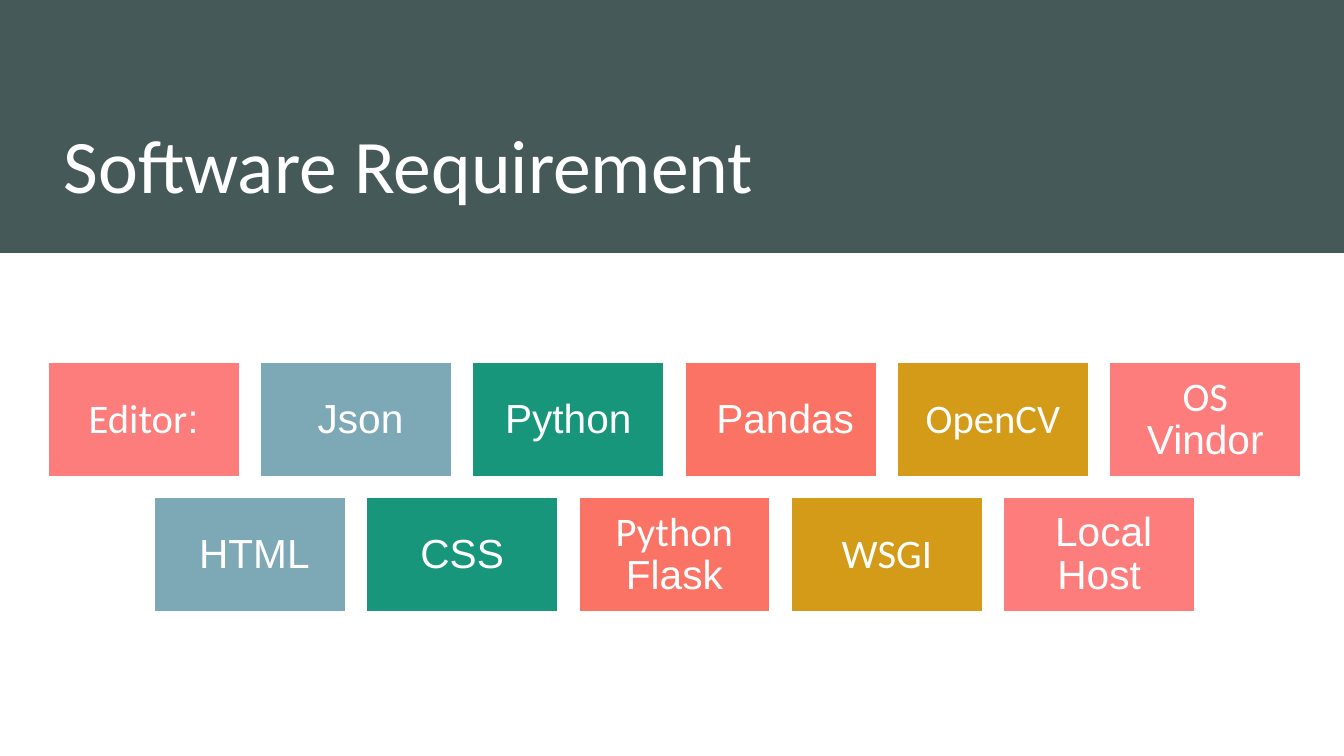
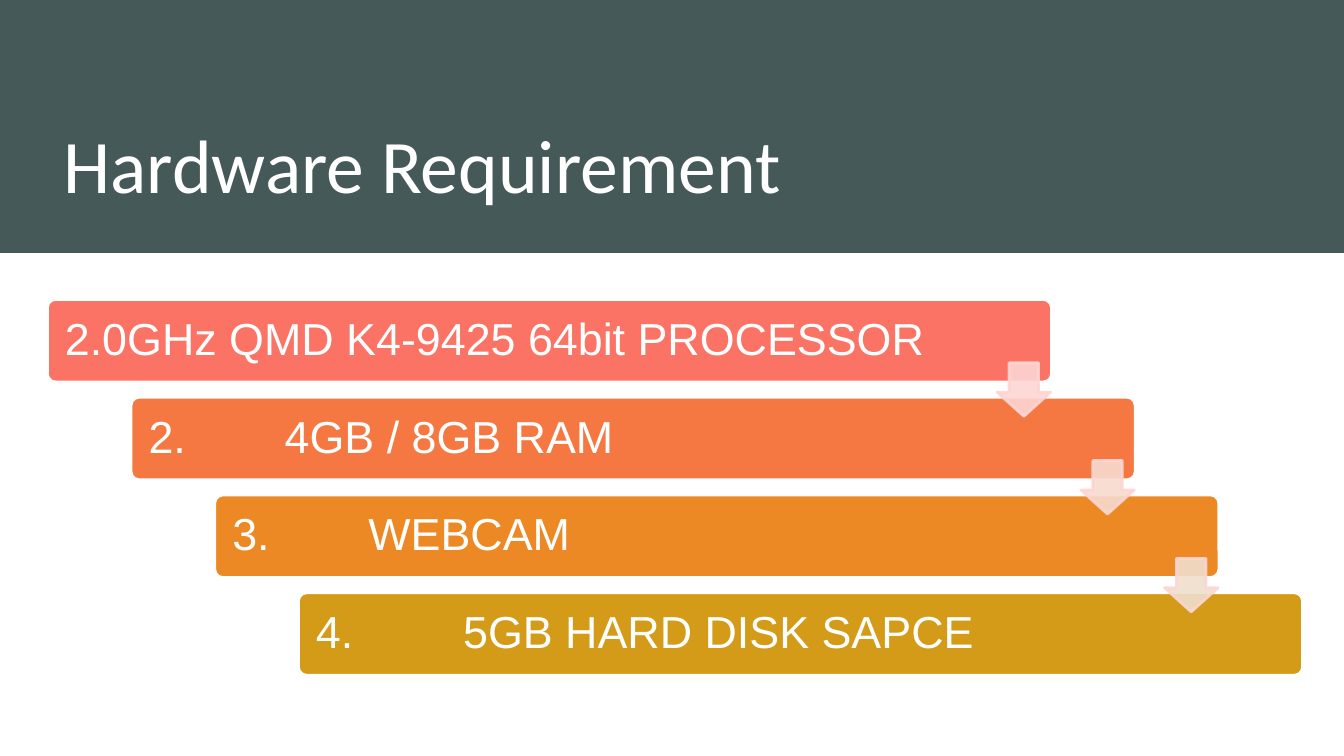
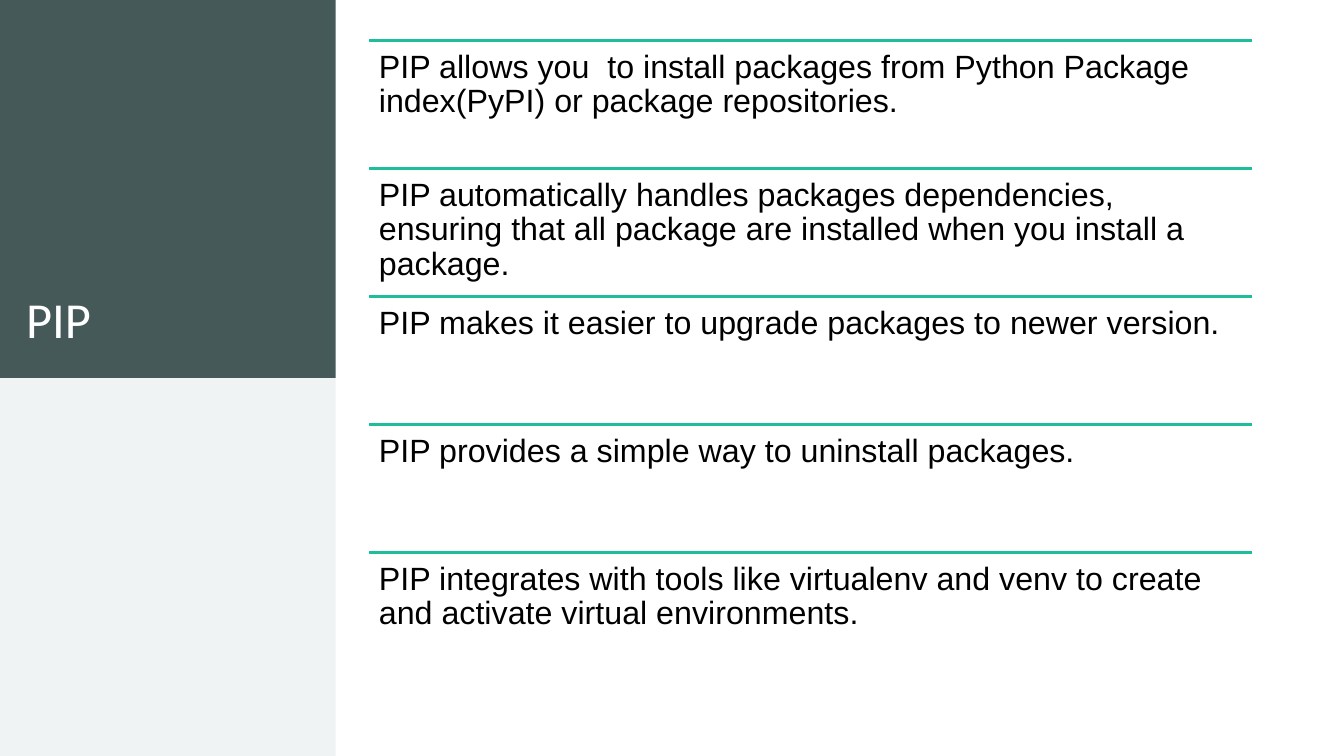
from dataclasses import dataclass
from itertools import cycle

from lxml.etree import SubElement
from pptx import Presentation
from pptx.dml.color import RGBColor
from pptx.enum.shapes import MSO_CONNECTOR, MSO_SHAPE
from pptx.enum.text import MSO_ANCHOR, MSO_AUTO_SIZE, PP_ALIGN
from pptx.oxml.ns import qn
from pptx.util import Inches, Pt

WHITE = RGBColor(0xFF, 0xFF, 0xFF)
BLACK = RGBColor(0x00, 0x00, 0x00)
SLATE = RGBColor(0x46, 0x59, 0x59)
MIST = RGBColor(0xF0, 0xF3, 0xF3)
PINK = RGBColor(0xFD, 0x7C, 0x7C)
BLUE = RGBColor(0x7D, 0xA8, 0xB5)
GREEN = RGBColor(0x17, 0x96, 0x7B)
CORAL = RGBColor(0xFB, 0x73, 0x65)
ORANGE = RGBColor(0xF5, 0x78, 0x43)
AMBER = RGBColor(0xED, 0x89, 0x24)
GOLD = RGBColor(0xD3, 0x9B, 0x17)
TEAL = RGBColor(0x1E, 0xBE, 0x9B)
BLUSH = RGBColor(0xFD, 0xD5, 0xD3)
PEACH = RGBColor(0xF7, 0xDA, 0xCE)
CREAM = RGBColor(0xEF, 0xDE, 0xCC)

HEADING_FONT = "Calibri"
BODY_FONT = "Arial"
SLIDE_WIDTH, SLIDE_HEIGHT = 13.33, 7.5
TITLE_ONLY = 5


@dataclass(frozen=True)
class Frame:
    left: float
    top: float
    width: float
    height: float

    def lengths(self):
        return [Inches(side) for side in (self.left, self.top, self.width, self.height)]


@dataclass(frozen=True)
class Span:
    text: str
    font: str = BODY_FONT


@dataclass(frozen=True)
class Tile:
    spans: tuple[Span, ...]
    indent: float = 0


@dataclass(frozen=True)
class Bar:
    text: str
    color: RGBColor
    tab: float = 1.35


WIDE_BAND = Frame(0, 0, SLIDE_WIDTH, 2.51)
WIDE_TITLE = Frame(0.53, 0.4, 11.89, 1.72)
SIDE_BAND = Frame(0, 0, 3.33, 3.75)
SIDE_TITLE = Frame(0.16, 0.4, 2.89, 3.11)

NUDGE = 0.09
TILE_ROWS = (
    (
        Tile((Span("Editor", HEADING_FONT), Span(":"))),
        Tile((Span("Json"),), NUDGE),
        Tile((Span("Python"),)),
        Tile((Span("Pandas"),), NUDGE),
        Tile((Span("OpenCV", HEADING_FONT),)),
        Tile((Span("OS", HEADING_FONT), Span(" Vindor"))),
    ),
    (
        Tile((Span("HTML"),), NUDGE),
        Tile((Span("CSS"),)),
        Tile((Span("Python", HEADING_FONT), Span(" Flask"))),
        Tile((Span("WSGI", HEADING_FONT),)),
        Tile((Span("Local Host"),), NUDGE),
    ),
)
TILE_COLORS = (PINK, BLUE, GREEN, CORAL, GOLD)

BARS = (
    Bar("2.0GHz QMD K4-9425 64bit PROCESSOR", CORAL),
    Bar("2.\t4GB / 8GB RAM", ORANGE),
    Bar("3.\tWEBCAM", AMBER),
    Bar("4.\t5GB HARD DISK SAPCE", GOLD, 1.46),
)
ARROW_COLORS = (BLUSH, PEACH, CREAM)

PIP_POINTS = (
    "PIP allows you  to install packages from Python Package index(PyPI) or package repositories.",
    "PIP automatically handles packages dependencies, ensuring that all package are installed "
    "when you install a package.",
    "PIP makes it easier to upgrade packages to newer version.",
    "PIP provides a simple way to uninstall packages.",
    "PIP integrates with tools like virtualenv and venv to create and activate virtual environments.",
)


def add_span(para, span: Span, size: float, color: RGBColor) -> None:
    run = para.add_run()
    run.text = span.text
    run.font.name = span.font
    run.font.size = Pt(size)
    run.font.color.rgb = color


def add_panel(page, frame: Frame, color: RGBColor, kind=MSO_SHAPE.RECTANGLE, outline=None):
    panel = page.shapes.add_shape(kind, *frame.lengths())
    panel.shadow.inherit = False
    panel.fill.solid()
    panel.fill.fore_color.rgb = color
    if outline is None:
        panel.line.fill.background()
    else:
        panel.line.color.rgb = outline
        panel.line.width = Pt(2)
    return panel


def start_body(box, margin: float, anchor, align):
    body = box.text_frame
    body.word_wrap = True
    body.vertical_anchor = anchor
    body.margin_left = body.margin_right = Inches(margin)
    body.margin_top = body.margin_bottom = Inches(margin)
    para = body.paragraphs[0]
    para.alignment = align
    para.line_spacing = 0.9
    return para


def add_titled_page(deck, text: str, band: Frame, place: Frame, size: float):
    page = deck.slides.add_slide(deck.slide_layouts[TITLE_ONLY])
    title = page.shapes.title
    title.left, title.top, title.width, title.height = place.lengths()
    title.element.addprevious(add_panel(page, band, SLATE).element)
    body = title.text_frame
    body.auto_size = MSO_AUTO_SIZE.NONE
    body.word_wrap = True
    body.vertical_anchor = MSO_ANCHOR.BOTTOM
    para = body.paragraphs[0]
    para.alignment = PP_ALIGN.LEFT
    add_span(para, Span(text, HEADING_FONT), size, WHITE)
    return page


def add_tile(page, tile: Tile, frame: Frame, color: RGBColor) -> None:
    box = add_panel(page, frame, color, outline=WHITE)
    para = start_body(box, 0.12, MSO_ANCHOR.MIDDLE, PP_ALIGN.CENTER)
    if tile.indent:
        settings = para._p.get_or_add_pPr()
        settings.set("marL", "0")
        settings.set("indent", str(Inches(tile.indent)))
    for span in tile.spans:
        add_span(para, span, 29, WHITE)


def add_bar(page, bar: Bar, frame: Frame) -> None:
    box = add_panel(page, frame, bar.color, MSO_SHAPE.ROUNDED_RECTANGLE, WHITE)
    box.adjustments[0] = 0.1
    para = start_body(box, 0.15, MSO_ANCHOR.MIDDLE, PP_ALIGN.LEFT)
    stops = SubElement(para._p.get_or_add_pPr(), qn("a:tabLst"))
    SubElement(stops, qn("a:tab"), pos=str(Inches(bar.tab)), algn="l")
    add_span(para, Span(bar.text), 32, WHITE)


def add_arrow(page, frame: Frame, color: RGBColor) -> None:
    arrow = add_panel(page, frame, color, MSO_SHAPE.DOWN_ARROW, BLUSH)
    arrow.adjustments[0] = 0.55
    arrow.adjustments[1] = 0.45
    for tint in arrow.element.spPr.iter(qn("a:srgbClr")):
        SubElement(tint, qn("a:alpha"), val="90000")


def add_point(page, text: str, frame: Frame) -> None:
    left, top, width, height = frame.lengths()
    rule = page.shapes.add_connector(MSO_CONNECTOR.STRAIGHT, left, top, left + width, top)
    rule.line.color.rgb = TEAL
    rule.line.width = Pt(2)
    SubElement(rule.element.spPr, qn("a:effectLst"))
    box = page.shapes.add_textbox(left, top, width, height)
    para = start_body(box, 0.1, MSO_ANCHOR.TOP, PP_ALIGN.LEFT)
    add_span(para, Span(text), 23, BLACK)


def build_software(deck) -> None:
    page = add_titled_page(deck, "Software Requirement", WIDE_BAND, WIDE_TITLE, 54)
    width, height, center = 1.91, 1.15, 6.69
    across = (12.44 - 6 * width) / 5 + width
    colors = cycle(TILE_COLORS)
    for row, tiles in enumerate(TILE_ROWS):
        left = center - ((len(tiles) - 1) * across + width) / 2
        for column, tile in enumerate(tiles):
            frame = Frame(left + column * across, 3.59 + row * 1.34, width, height)
            add_tile(page, tile, frame, next(colors))


def build_hardware(deck) -> None:
    page = add_titled_page(deck, "Hardware Requirement", WIDE_BAND, WIDE_TITLE, 54)
    across, down = 0.83, 0.97
    for step, bar in enumerate(BARS):
        add_bar(page, bar, Frame(0.47 + step * across, 2.97 + step * down, 9.96, 0.82))
    for step, color in enumerate(ARROW_COLORS):
        add_arrow(page, Frame(9.89 + step * across, 3.6 + step * down, 0.53, 0.53), color)


def build_pip(deck) -> None:
    page = add_titled_page(deck, "PIP", SIDE_BAND, SIDE_TITLE, 36)
    add_panel(page, Frame(0, 3.75, 3.33, 3.75), MIST)
    height = 1.27
    for step, text in enumerate(PIP_POINTS):
        add_point(page, text, Frame(3.66, 0.4 + step * height, 8.76, height))


def main() -> None:
    deck = Presentation()
    deck.slide_width = Inches(SLIDE_WIDTH)
    deck.slide_height = Inches(SLIDE_HEIGHT)
    build_software(deck)
    build_hardware(deck)
    build_pip(deck)
    deck.save("out.pptx")


if __name__ == "__main__":
    main()
